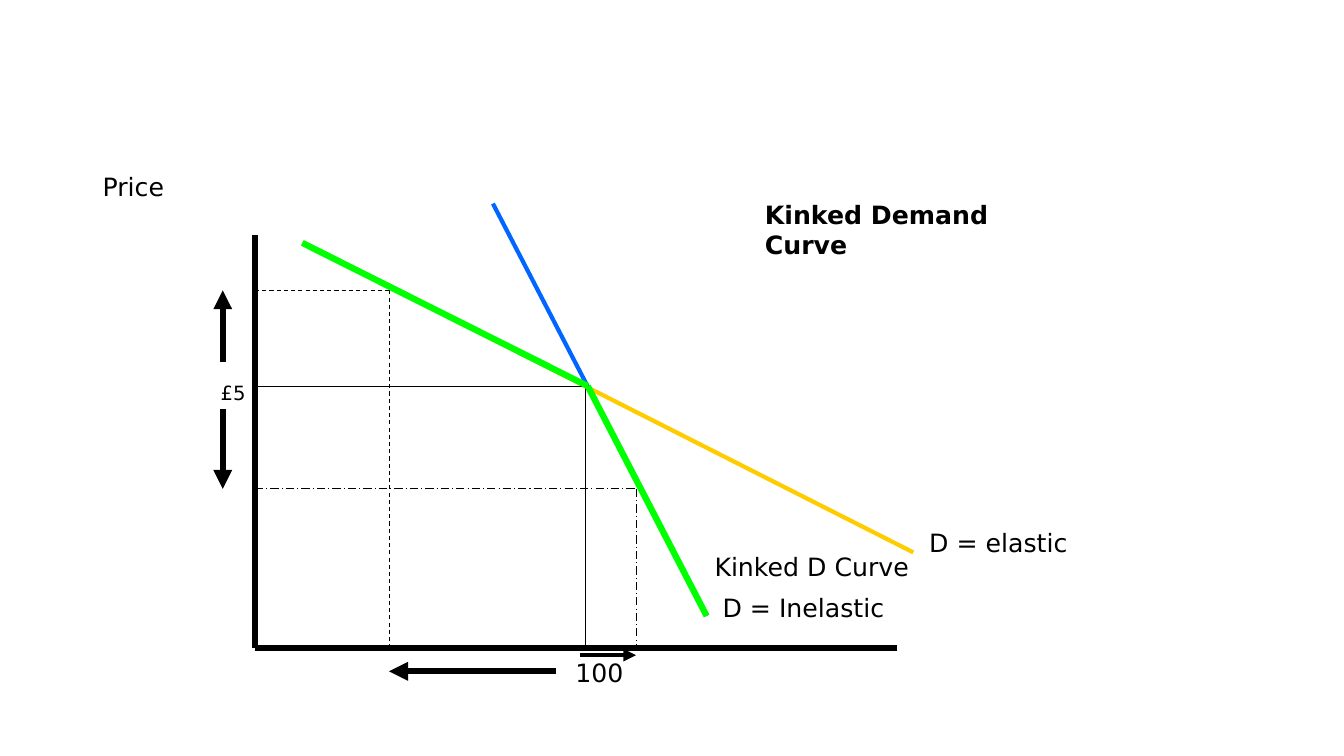
"""Build the kinked demand curve slide."""
from collections import namedtuple
from dataclasses import dataclass

from lxml import etree
from pptx import Presentation
from pptx import util as u
from pptx.dml import color
from pptx.enum import dml, shapes, text
from pptx.oxml import ns

Box = namedtuple("Box", "left top width height")


@dataclass(frozen=True)
class Theme:
    """Hold the colours, font, type sizes and line weights."""
    ink: str = "000000"
    elastic: str = "FFCC00"
    inelastic: str = "0066FF"
    kinked: str = "00FF00"
    font: str = "DejaVu Sans"
    label: float = 18
    price: float = 14
    heavy: float = 4.5
    medium: float = 3
    hairline: float = 0.75


THEME = Theme()
CELL = u.Inches(0.1)
SLIDE_COLS, SLIDE_ROWS = 133.33, 75
PLOT = Box(25.3, 23.3, 63.7, 41)
KINK = (33, 15)
HIGH_PRICE, LOW_PRICE = 5.5, 25.2
LOW_QUANTITY, HIGH_QUANTITY = 13.3, 37.8
ELASTIC = ((4.7, 0.8), (65.3, 31.5))
INELASTIC = ((23.6, -3.1), (44.8, 37.8))
DASH = dml.MSO_LINE.DASH
LONG_DASH_DOT = dml.MSO_LINE.LONG_DASH_DOT


def cells(count):
    """Convert a number of grid cells to a length."""
    return int(count * CELL)


def apply(target, formats):
    """Set each format value on the target."""
    for name, value in formats.items():
        setattr(target, name, value)


def draw_line(slide, box, start, end, weight, hue=THEME.ink, dash=None, arrow=False):
    """Draw a line between two grid points of the box."""
    ends = [cells(origin + offset) for point in (start, end)
            for origin, offset in zip(box[:2], point)]
    stroke = slide.shapes.add_connector(shapes.MSO_CONNECTOR.STRAIGHT, *ends)
    stroke.line.color.rgb = color.RGBColor.from_string(hue)
    apply(stroke.line, {"width": u.Pt(weight), "dash_style": dash})
    if arrow:
        etree.SubElement(stroke.line._get_or_add_ln(), ns.qn("a:tailEnd"), type="triangle")
    etree.SubElement(stroke._element.spPr, ns.qn("a:effectLst"))


def draw_label(slide, box, wording, place, size=THEME.label, bold=False, wrap=False,
               spacing=1.0):
    """Write a label at a place given relative to the box."""
    col, row, width, height = place
    label = slide.shapes.add_textbox(cells(box.left + col), cells(box.top + row),
                                     cells(width), cells(height))
    apply(label.text_frame, {"word_wrap": wrap, "vertical_anchor": text.MSO_ANCHOR.TOP})
    paragraph = label.text_frame.paragraphs[0]
    apply(paragraph, {"alignment": text.PP_ALIGN.LEFT, "line_spacing": spacing})
    run = paragraph.add_run()
    run.text = wording
    apply(run.font, {"name": THEME.font, "size": u.Pt(size), "bold": bold})
    run.font.color.rgb = color.RGBColor.from_string(THEME.ink)


def draw_axes(slide, box):
    """Draw the price and quantity axes along the box edges."""
    origin = (0, box.height)
    for end in ((0, 0), (box.width, box.height)):
        draw_line(slide, box, origin, end, THEME.heavy)


def draw_demand(slide, box):
    """Draw the elastic and inelastic demand lines."""
    for ends, hue in ((ELASTIC, THEME.elastic), (INELASTIC, THEME.inelastic)):
        draw_line(slide, box, *ends, THEME.medium, hue)


def draw_guides(slide, box):
    """Drop a guide from each price and quantity pair to both axes."""
    guides = (
        (LOW_QUANTITY, HIGH_PRICE, DASH),
        (KINK[0] - 0.2, KINK[1], None),
        (HIGH_QUANTITY, LOW_PRICE, LONG_DASH_DOT),
    )
    for quantity, price, dash in guides:
        for foot in ((0, price), (quantity, box.height)):
            start, end = sorted(((quantity, price), foot))
            draw_line(slide, box, start, end, THEME.hairline, dash=dash)


def draw_changes(slide, box):
    """Draw the arrows for changes in price and quantity."""
    price_col, fall_row, rise_row = -3.2, box.height + 2.3, box.height + 0.7
    changes = (
        ((price_col, 12.6), (price_col, HIGH_PRICE), THEME.heavy),
        ((price_col, 17.3), (price_col, LOW_PRICE), THEME.heavy),
        ((29.9, fall_row), (LOW_QUANTITY, fall_row), THEME.heavy),
        ((32.2, rise_row), (HIGH_QUANTITY, rise_row), THEME.medium),
    )
    for start, end, weight in changes:
        draw_line(slide, box, start, end, weight, arrow=True)


def draw_kinked_curve(slide, box):
    """Draw the two halves of the kinked curve."""
    for start, end in ((ELASTIC[0], KINK), (KINK, INELASTIC[1])):
        draw_line(slide, box, start, end, THEME.heavy, THEME.kinked)


def draw_labels(slide, box):
    """Write the heading, the curve labels and the axis labels."""
    draw_label(slide, box, "Kinked Demand Curve", (49.6, -4, 32, 7), bold=True, wrap=True)
    draw_label(slide, box, "£5", (-4.4, 14, 4.5, 3.3), size=THEME.price)
    for wording, place in (
        ("D = elastic", (65.9, 28.5, 15.7, 4)),
        ("D = Inelastic", (45.4, 35, 18.4, 4)),
        ("Kinked D Curve", (44.6, 30.9, 21.6, 4)),
    ):
        draw_label(slide, box, wording, place)
    for wording, place in (
        ("Price", (-16.1, -6.5, 8.1, 3.7)),
        ("100", (30.8, 41.8, 6.9, 3.7)),
    ):
        draw_label(slide, box, wording, place, spacing=0.9)


def build():
    """Build and save the slide."""
    deck = Presentation()
    apply(deck, {"slide_width": cells(SLIDE_COLS), "slide_height": cells(SLIDE_ROWS)})
    slide = deck.slides.add_slide(deck.slide_layouts[6])
    for draw in (draw_axes, draw_demand, draw_guides, draw_changes,
                 draw_kinked_curve, draw_labels):
        draw(slide, PLOT)
    deck.save("out.pptx")


build()
